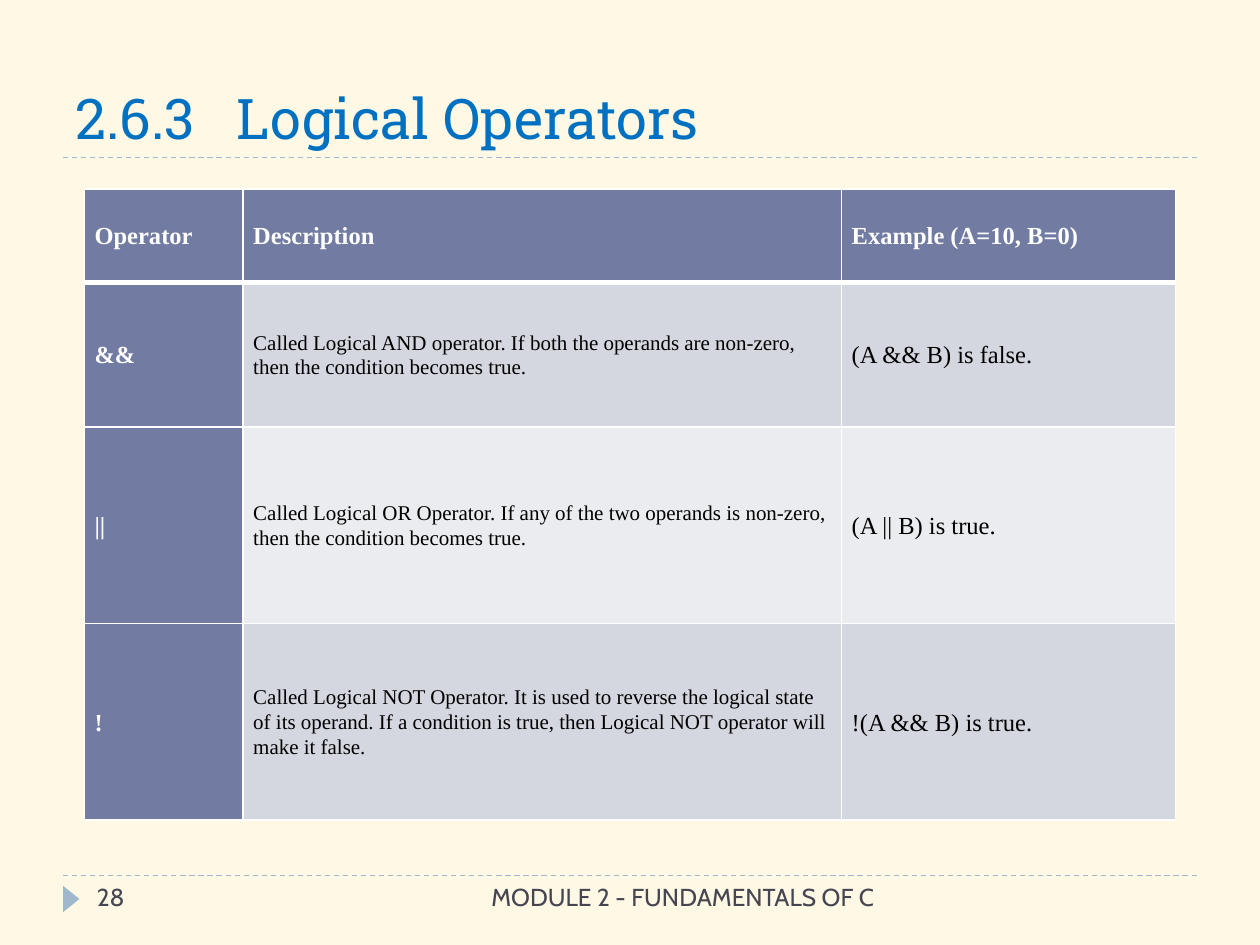
from lxml import etree
from pptx import Presentation
from pptx.dml.color import RGBColor
from pptx.enum.dml import MSO_LINE
from pptx.enum.shapes import MSO_CONNECTOR, MSO_SHAPE
from pptx.enum.text import MSO_ANCHOR, PP_ALIGN
from pptx.oxml import parse_xml
from pptx.oxml.ns import nsdecls, qn
from pptx.util import Inches, Pt

STRAIGHT = MSO_CONNECTOR.STRAIGHT
TRIANGLE = MSO_SHAPE.ISOSCELES_TRIANGLE
DASH = MSO_LINE.DASH
TOP, MIDDLE, BOTTOM = MSO_ANCHOR.TOP, MSO_ANCHOR.MIDDLE, MSO_ANCHOR.BOTTOM
LEFT, RIGHT = PP_ALIGN.LEFT, PP_ALIGN.RIGHT

COLORS = {
    "background": "FEF8E4",
    "title": "0070C0",
    "accent": "9FB8CD",
    "footer": "464653",
    "header": "727CA3",
    "odd": "D5D7E0",
    "even": "EBECF0",
    "white": "FFFFFF",
    "black": "000000",
}
COLUMN_WIDTHS = [1.26, 4.75, 2.65]
ROW_HEIGHTS = [0.74, 1.15, 1.56, 1.56]
ROWS = [
    ["Operator", "Description", "Example (A=10, B=0)"],
    ["&&", "Called Logical AND operator. If both the operands are non-zero, "
     "then the condition becomes true.", "(A && B) is false."],
    ["||", "Called Logical OR Operator. If any of the two operands is non-zero, "
     "then the condition becomes true.", "(A || B) is true."],
    ["!", "Called Logical NOT Operator. It is used to reverse the logical state "
     "of its operand. If a condition is true, then Logical NOT operator will "
     "make it false.", "!(A && B) is true."],
]


def rgb(name):
    return RGBColor.from_string(COLORS[name])


def write(frame, text, *, font, size, color, bold=False, align=LEFT,
          spacing=1.0, tab=None):
    para = frame.paragraphs[0]
    para.alignment = align
    para.line_spacing = spacing
    if tab is not None:
        para._p.get_or_add_pPr().append(parse_xml(
            f'<a:tabLst {nsdecls("a")}><a:tab pos="{tab}" algn="l"/></a:tabLst>'))
    span = para.add_run()
    span.text = text
    span.font.name = font
    span.font.size = Pt(size)
    span.font.bold = bold
    span.font.color.rgb = rgb(color)


def add_rule(page, left, top, width):
    """Draw a dashed horizontal line."""
    rule = page.shapes.add_connector(STRAIGHT, left, top, left + width, top)
    rule.line.color.rgb = rgb("accent")
    rule.line.width = Pt(0.75)
    rule.line.dash_style = DASH
    etree.SubElement(rule._element.spPr, qn("a:effectLst"))


def add_title(page, left, top, width, height):
    title = page.shapes.title
    title.left, title.top, title.width, title.height = left, top, width, height
    frame = title.text_frame
    frame.word_wrap = True
    frame.vertical_anchor = BOTTOM
    write(frame, "2.6.3\tLogical Operators", font="Roboto Slab", size=32,
          color="title", tab=Inches(1.28))
    add_rule(page, left, top + height, width)


def set_borders(cell, bottom):
    """Give a cell white borders, 1 pt wide except for the bottom one."""
    properties = cell._tc.get_or_add_tcPr()
    for index, side in enumerate("LRTB"):
        width = Pt(bottom if side == "B" else 1)
        properties.insert(index, parse_xml(
            f'<a:ln{side} {nsdecls("a")} w="{width}"><a:solidFill>'
            f'<a:srgbClr val="{COLORS["white"]}"/></a:solidFill></a:ln{side}>'))


def add_operator_table(page, left, top, width, height):
    table = page.shapes.add_table(
        len(ROWS), len(COLUMN_WIDTHS), left, top, width, height).table
    for column, size in zip(table.columns, COLUMN_WIDTHS):
        column.width = Inches(size)
    for row, size in zip(table.rows, ROW_HEIGHTS):
        row.height = Inches(size)
    for r, texts in enumerate(ROWS):
        for c, text in enumerate(texts):
            cell = table.cell(r, c)
            heading = r == 0 or c == 0
            cell.fill.solid()
            cell.fill.fore_color.rgb = rgb(
                "header" if heading else "odd" if r % 2 else "even")
            cell.vertical_anchor = MIDDLE
            cell.margin_left = cell.margin_right = Inches(0.08)
            cell.margin_top = cell.margin_bottom = Inches(0.08)
            # The header row and the row below it share the thick border.
            set_borders(cell, bottom=3 if r == 0 else 1)
            if r == 1:
                cell._tc.tcPr.find(qn("a:lnT")).set("w", str(Pt(3)))
            write(cell.text_frame, text, font="Times New Roman",
                  size=12 if c == 1 and r else 14,
                  color="white" if heading else "black",
                  bold=heading, spacing=1.07)


def add_footer_text(page, text, left, top, width, height, align=LEFT):
    box = page.shapes.add_textbox(left, top, width, height)
    frame = box.text_frame
    frame.word_wrap = True
    frame.vertical_anchor = TOP
    frame.margin_right = Inches(0.14)
    write(frame, text, font="Cabin", size=14, color="footer", align=align)


def add_footer(page, left, top, width, height):
    add_rule(page, left, top, width)
    marker = page.shapes.add_shape(
        TRIANGLE, left - Inches(0.04), top + Inches(0.12),
        Inches(0.21), Inches(0.13))
    marker.rotation = 90
    marker.shadow.inherit = False
    marker.fill.solid()
    marker.fill.fore_color.rgb = rgb("accent")
    marker.line.fill.background()
    add_footer_text(page, "MODULE 2 - FUNDAMENTALS OF C", left + Inches(2.67),
                    top, Inches(3.91), height, align=RIGHT)
    add_footer_text(page, "28", left + Inches(0.17), top, Inches(2.17), height)


def main():
    deck = Presentation()
    deck.slide_width, deck.slide_height = Inches(10), Inches(7.5)
    page = deck.slides.add_slide(deck.slide_layouts.get_by_name("Title Only"))
    page.background.fill.solid()
    page.background.fill.fore_color.rgb = rgb("background")
    add_title(page, Inches(0.5), Inches(0.17), Inches(9), Inches(1.08))
    add_operator_table(page, Inches(0.67), Inches(1.5), Inches(8.66), Inches(5))
    add_footer(page, Inches(0.5), Inches(6.95), Inches(9), Inches(0.4))
    deck.save("out.pptx")


if __name__ == "__main__":
    main()
